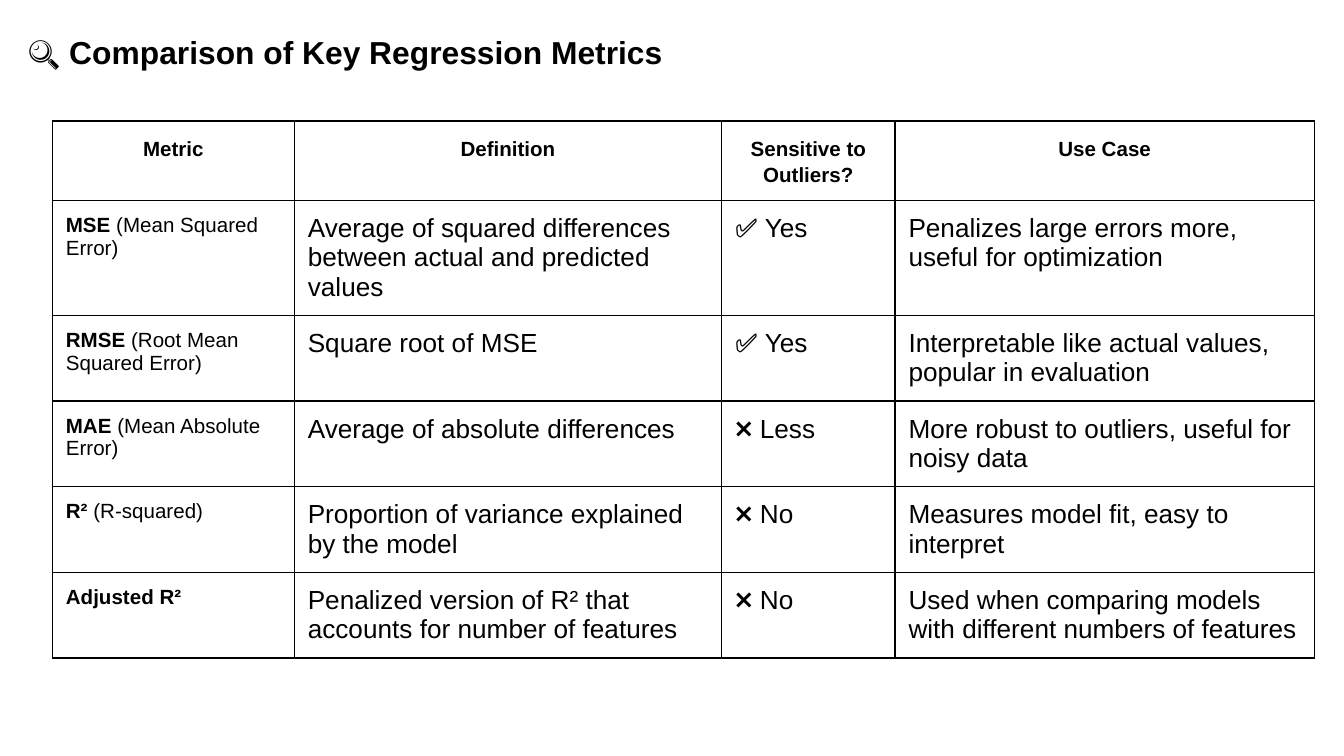
from dataclasses import dataclass

from lxml import etree
from pptx import Presentation
from pptx.dml.color import RGBColor
from pptx.enum import text
from pptx.oxml import ns
from pptx.util import Inches, Pt


@dataclass(frozen=True)
class Theme:
    font: str = "Arial"
    ink: str = "000000"
    paper: str = "FFFFFF"
    title_size: float = 17
    label_size: float = 11
    body_size: float = 14
    border: float = 0.75
    inset: float = 0.1
    loose: float = 1.15


HEADERS = ["Metric", "Definition", "Sensitive to Outliers?", "Use Case"]
COLUMN_WIDTHS = [1.8, 3.18, 1.29, 3.12]
ROW_HEIGHT = 0.41
METRICS = [
    ("MSE", " (Mean Squared Error)",
     "Average of squared differences between actual and predicted values",
     "✅ Yes", "Penalizes large errors more, useful for optimization"),
    ("RMSE", " (Root Mean Squared Error)", "Square root of MSE",
     "✅ Yes", "Interpretable like actual values, popular in evaluation"),
    ("MAE", " (Mean Absolute Error)", "Average of absolute differences",
     "❌ Less", "More robust to outliers, useful for noisy data"),
    ("R²", " (R-squared)", "Proportion of variance explained by the model",
     "❌ No", "Measures model fit, easy to interpret"),
    ("Adjusted R²", "",
     "Penalized version of R² that accounts for number of features",
     "❌ No", "Used when comparing models with different numbers of features"),
]


def write(paragraph, content, *, theme, size, bold=False, align=None, spacing=None):
    run = paragraph.add_run()
    run.text = content
    run.font.name = theme.font
    run.font.size = Pt(size)
    run.font.bold = bold
    run.font.color.rgb = RGBColor.from_string(theme.ink)
    if align is not None:
        paragraph.alignment = align
    if spacing is not None:
        paragraph.line_spacing = spacing


class SlideBuilder:
    def __init__(self, presentation, theme):
        self.theme = theme
        self.slide = presentation.slides.add_slide(presentation.slide_layouts[5])
        fill = self.slide.background.fill
        fill.solid()
        fill.fore_color.rgb = RGBColor.from_string(theme.paper)

    def set_insets(self, target):
        for side in ("left", "top", "right", "bottom"):
            setattr(target, f"margin_{side}", Inches(self.theme.inset))

    def title(self, content, left, top, width, height):
        shape = self.slide.shapes.title
        shape.left, shape.top = Inches(left), Inches(top)
        shape.width, shape.height = Inches(width), Inches(height)
        frame = shape.text_frame
        frame.word_wrap = True
        frame.auto_size = text.MSO_AUTO_SIZE.NONE
        frame.vertical_anchor = text.MSO_ANCHOR.MIDDLE
        self.set_insets(frame)
        paragraph = frame.paragraphs[0]
        paragraph.space_before = Pt(0)
        write(paragraph, content, theme=self.theme, size=self.theme.title_size,
              bold=True, align=text.PP_ALIGN.LEFT, spacing=self.theme.loose)

    def format_cell(self, cell):
        self.set_insets(cell)
        properties = cell._tc.get_or_add_tcPr()
        for edge in ("a:lnL", "a:lnR", "a:lnT", "a:lnB"):
            line = etree.SubElement(properties, ns.qn(edge), w=str(Pt(self.theme.border)))
            fill = etree.SubElement(line, ns.qn("a:solidFill"))
            etree.SubElement(fill, ns.qn("a:srgbClr"), val=self.theme.ink)
        cell.fill.background()

    def metrics_table(self, headers, metrics, left, top, widths, row_height):
        theme = self.theme
        row_count = len(metrics) + 1
        table = self.slide.shapes.add_table(
            row_count, len(widths), Inches(left), Inches(top),
            Inches(sum(widths)), Inches(row_height * row_count)).table
        table.first_row = table.horz_banding = False
        for column, width in zip(table.columns, widths):
            column.width = Inches(width)
        for row in table.rows:
            row.height = Inches(row_height)
        for cell in table.iter_cells():
            self.format_cell(cell)
        for cell, header in zip(table.rows[0].cells, headers):
            write(cell.text_frame.paragraphs[0], header, theme=theme,
                  size=theme.label_size, bold=True,
                  align=text.PP_ALIGN.CENTER, spacing=theme.loose)
        for index, (name, expansion, *details) in enumerate(metrics, start=1):
            label, *cells = [cell.text_frame.paragraphs[0]
                             for cell in table.rows[index].cells]
            write(label, name, theme=theme, size=theme.label_size, bold=True)
            if expansion:
                write(label, expansion, theme=theme, size=theme.label_size)
            for paragraph, detail in zip(cells, details):
                write(paragraph, detail, theme=theme, size=theme.body_size)


def main():
    presentation = Presentation()
    presentation.slide_width = Inches(10)
    presentation.slide_height = presentation.slide_width * 9 // 16
    builder = SlideBuilder(presentation, Theme())
    builder.title("🔍 Comparison of Key Regression Metrics", 0.11, 0.06, 8.53, 0.61)
    builder.metrics_table(HEADERS, METRICS, 0.39, 0.9, COLUMN_WIDTHS, ROW_HEIGHT)
    presentation.save("out.pptx")


if __name__ == "__main__":
    main()
